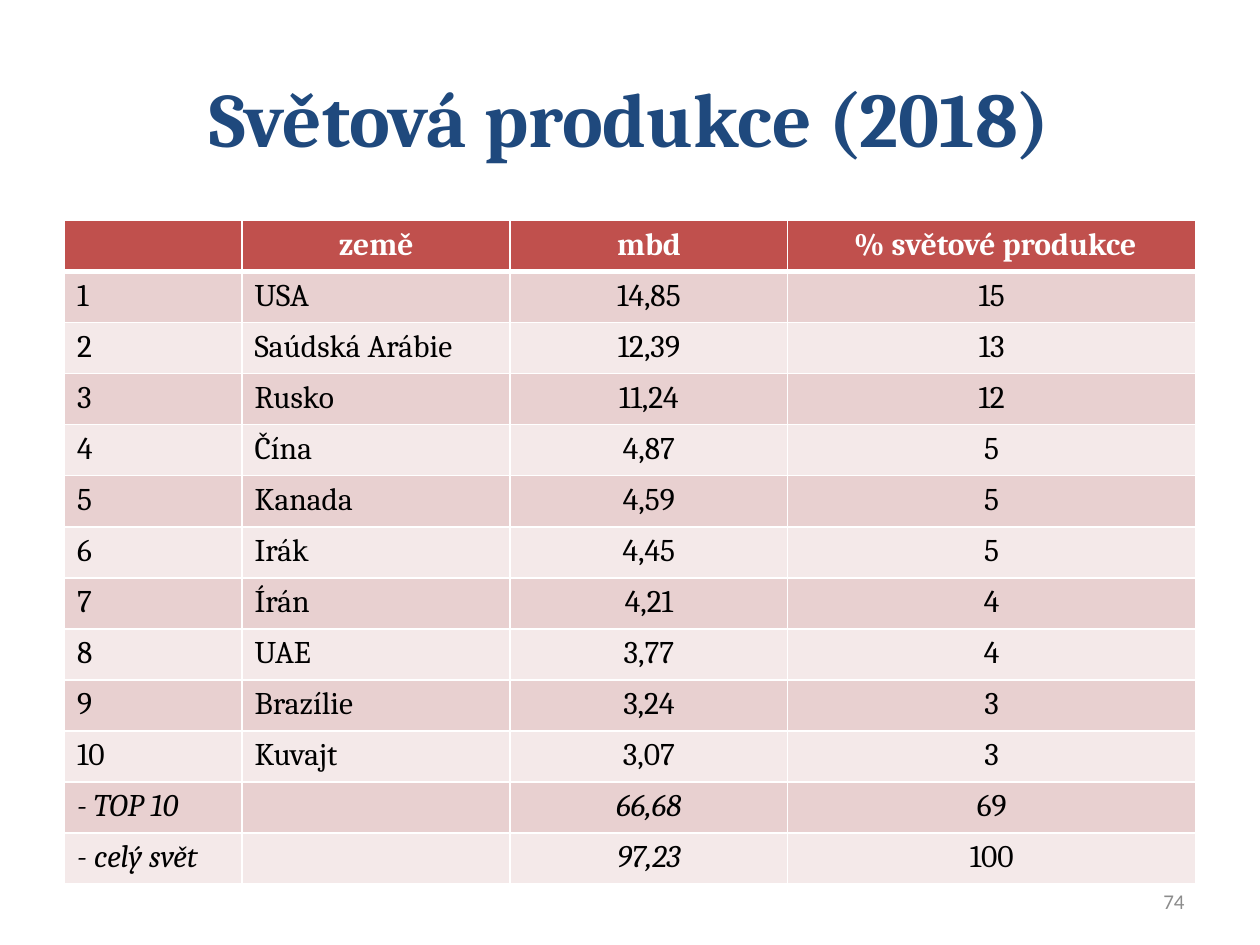
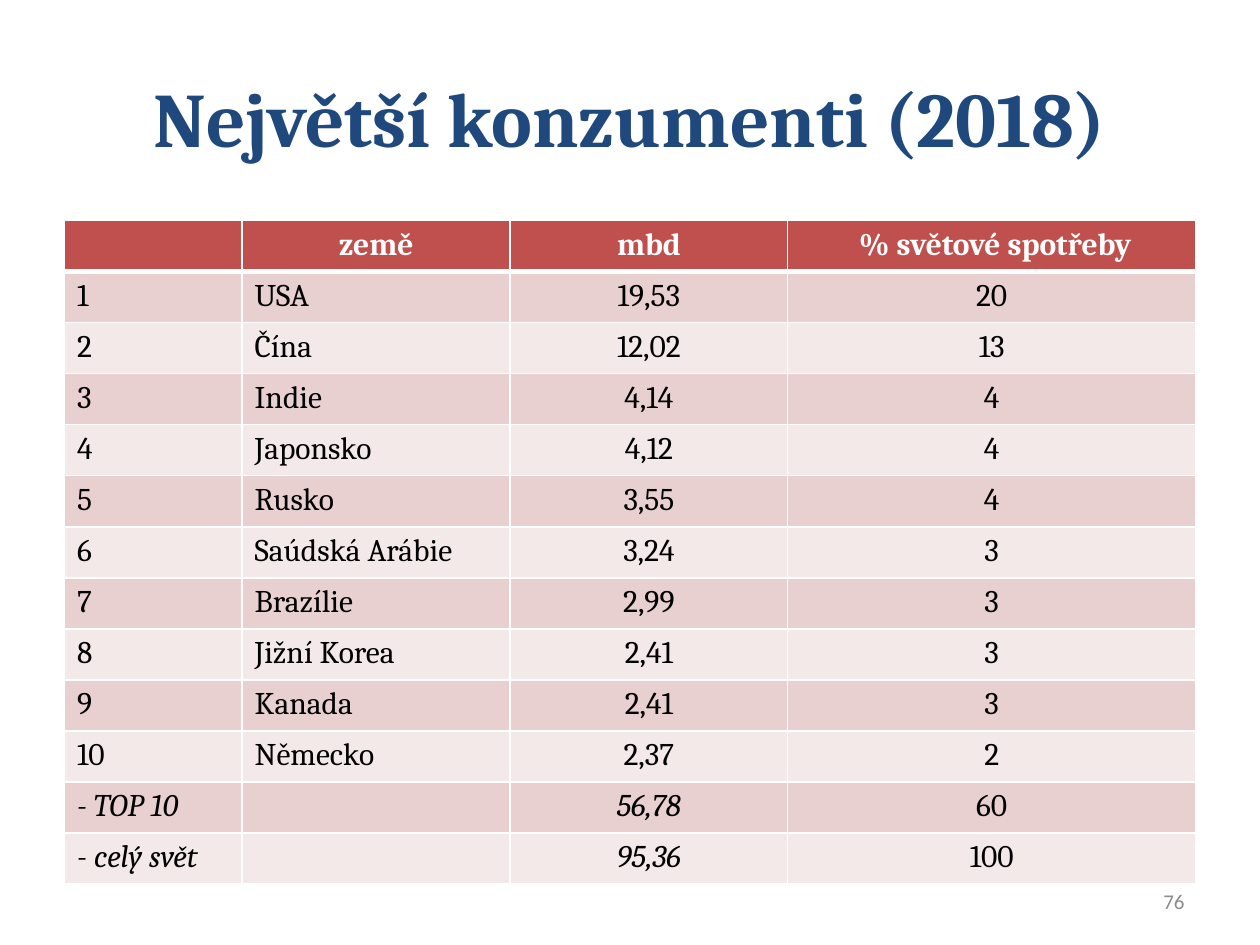
from dataclasses import dataclass

from lxml.etree import SubElement
from pptx import Presentation
from pptx.dml.color import RGBColor
from pptx.enum.text import MSO_ANCHOR, PP_ALIGN
from pptx.oxml.ns import qn
from pptx.util import Pt

SLIDES = [
    {
        "title": "Světová produkce (2018)",
        "number": "74",
        "share": " % světové produkce",
        "countries": [
            ("USA", "14,85", "15"),
            ("Saúdská Arábie", "12,39", "13"),
            ("Rusko", "11,24", "12"),
            ("Čína", "4,87", "5"),
            ("Kanada", "4,59", "5"),
            ("Irák", "4,45", "5"),
            ("Írán", "4,21", "4"),
            ("UAE", "3,77", "4"),
            ("Brazílie", "3,24", "3"),
            ("Kuvajt", "3,07", "3"),
        ],
        "top_ten": ("66,68", "69"),
        "world": ("97,23", "100"),
    },
    {
        "title": "Největší konzumenti (2018)",
        "number": "76",
        "share": " % světové spotřeby",
        "countries": [
            ("USA", "19,53", "20"),
            ("Čína", "12,02", "13"),
            ("Indie", "4,14", "4"),
            ("Japonsko", "4,12", "4"),
            ("Rusko", "3,55", "4"),
            ("Saúdská Arábie", "3,24", "3"),
            ("Brazílie", "2,99", "3"),
            ("Jižní Korea", "2,41", "3"),
            ("Kanada", "2,41", "3"),
            ("Německo", "2,37", "2"),
        ],
        "top_ten": ("56,78", "60"),
        "world": ("95,36", "100"),
    },
]


@dataclass(frozen=True)
class Theme:
    serif: str = "Cambria"
    sans: str = "Calibri"
    title: str = "1F497D"
    header: str = "C0504D"
    bands: tuple = ("E8D0D0", "F4E9E9")
    body: str = "000000"
    white: str = "FFFFFF"
    muted: str = "8C8C8C"
    title_size: int = 44
    table_size: int = 18
    number_size: int = 12
    thin: int = 1
    thick: int = 3


THEME = Theme()
TITLE_AREA = (36, 21.6, 648, 90)
NUMBER_AREA = (516, 500.4, 168, 28.8)
TABLE_LEFT, TABLE_TOP, TABLE_HEIGHT = 36.85, 126, 379.2
COLUMN_WIDTHS = (101.5, 153.2, 158.6, 233.2)


def write_text(frame, text, *, size, color, font=THEME.serif, align=PP_ALIGN.LEFT,
               bold=False, italic=False):
    para = frame.paragraphs[0]
    para.alignment = align
    span = para.add_run()
    span.text = text
    span.font.name = font
    span.font.size = Pt(size)
    span.font.bold = bold
    span.font.italic = italic
    span.font.color.rgb = RGBColor.from_string(color)


def add_text(page, area, text, **text_format):
    box = page.shapes.add_textbox(*map(Pt, area))
    box.text_frame.word_wrap = True
    box.text_frame.vertical_anchor = MSO_ANCHOR.MIDDLE
    write_text(box.text_frame, text, **text_format)


def set_borders(cell, top, bottom):
    properties = cell._tc.get_or_add_tcPr()
    widths = {"L": THEME.thin, "R": THEME.thin, "T": top, "B": bottom}
    for side, width in widths.items():
        line = SubElement(properties, qn(f"a:ln{side}"), w=str(Pt(width)))
        fill = SubElement(line, qn("a:solidFill"))
        SubElement(fill, qn("a:srgbClr"), val=THEME.white)


def table_rows(content):
    ranked = [(str(rank), *country)
              for rank, country in enumerate(content["countries"], start=1)]
    return [
        ("", "země", "mbd", content["share"]),
        *ranked,
        ("- TOP 10", "", *content["top_ten"]),
        ("- celý svět", "", *content["world"]),
    ]


def add_country_table(page, rows):
    frame = page.shapes.add_table(
        len(rows), len(COLUMN_WIDTHS), Pt(TABLE_LEFT), Pt(TABLE_TOP),
        Pt(sum(COLUMN_WIDTHS)), Pt(TABLE_HEIGHT))
    table = frame.table
    for column, width in zip(table.columns, COLUMN_WIDTHS):
        column.width = Pt(width)
    for row_index, values in enumerate(rows):
        table.rows[row_index].height = Pt(TABLE_HEIGHT / len(rows))
        is_header = row_index == 0
        is_total = row_index >= len(rows) - 2
        fill = THEME.header if is_header else THEME.bands[(row_index - 1) % 2]
        for column_index, value in enumerate(values):
            cell = table.cell(row_index, column_index)
            # The heavy rule is shared by the header and the first country
            set_borders(cell,
                        top=THEME.thick if row_index == 1 else THEME.thin,
                        bottom=THEME.thick if is_header else THEME.thin)
            cell.fill.solid()
            cell.fill.fore_color.rgb = RGBColor.from_string(fill)
            if value:
                centred = is_header or column_index >= 2
                write_text(cell.text_frame, value, size=THEME.table_size,
                           color=THEME.white if is_header else THEME.body,
                           align=PP_ALIGN.CENTER if centred else PP_ALIGN.LEFT,
                           bold=is_header,
                           italic=is_total and column_index < 3)


def main():
    deck = Presentation()
    deck.slide_width, deck.slide_height = Pt(720), Pt(540)
    for content in SLIDES:
        page = deck.slides.add_slide(deck.slide_layouts[6])
        add_text(page, TITLE_AREA, content["title"], size=THEME.title_size,
                 color=THEME.title, align=PP_ALIGN.CENTER, bold=True)
        add_text(page, NUMBER_AREA, content["number"], size=THEME.number_size,
                 color=THEME.muted, font=THEME.sans, align=PP_ALIGN.RIGHT)
        add_country_table(page, table_rows(content))
    deck.save("out.pptx")


if __name__ == "__main__":
    main()
